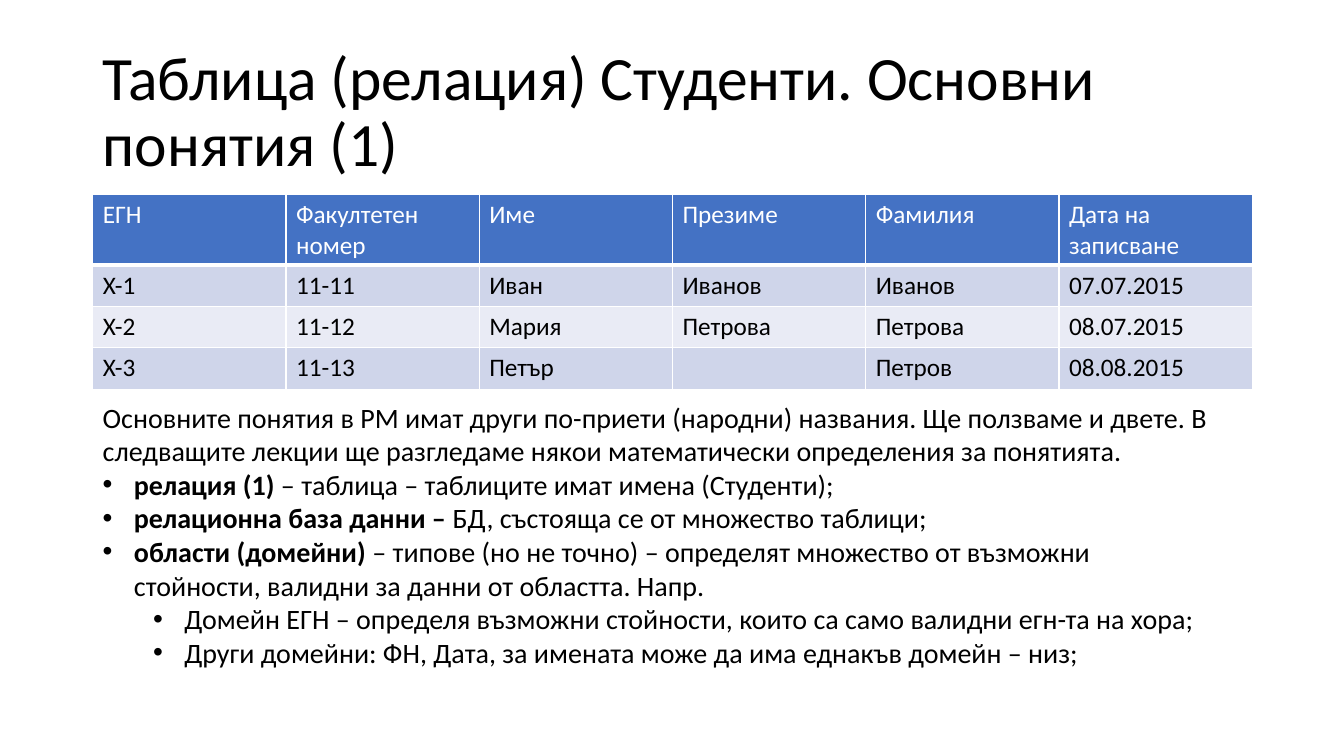
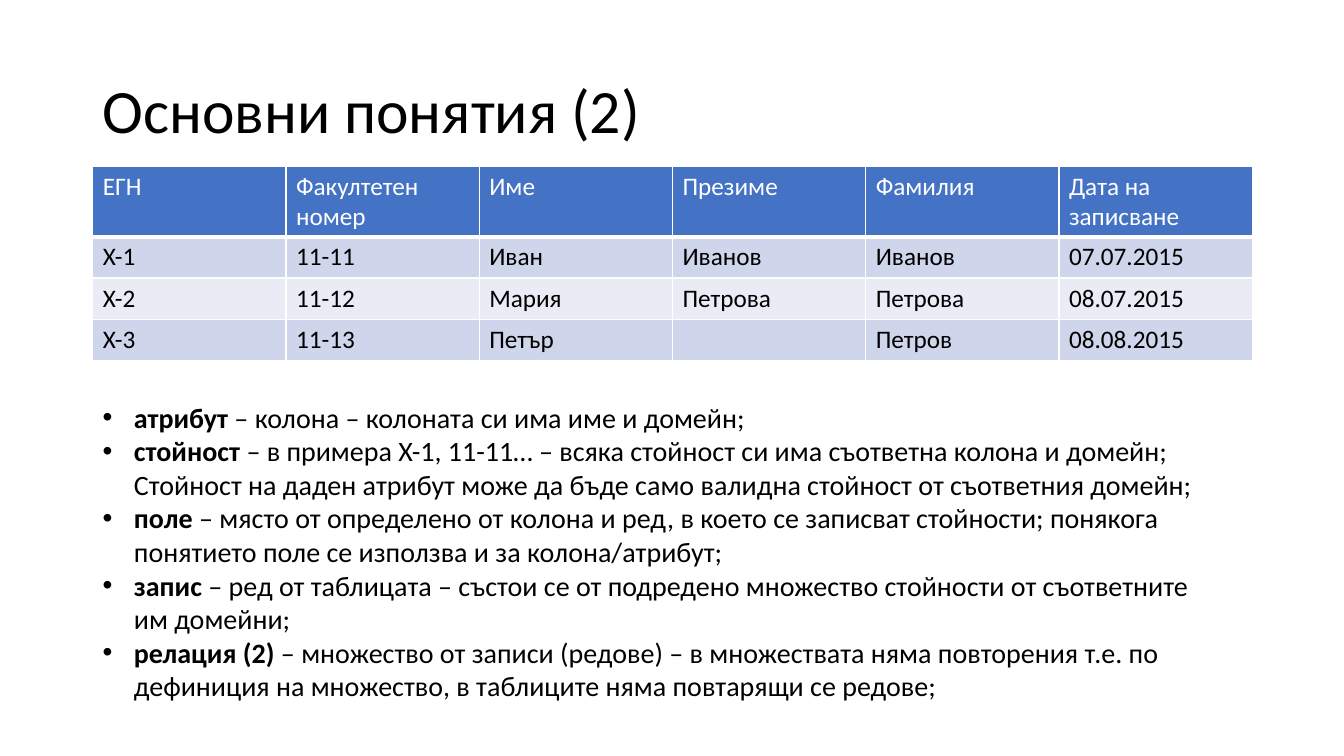
from dataclasses import dataclass

from lxml.etree import SubElement as Sub
from pptx import Presentation
from pptx.dml.color import RGBColor
from pptx.enum.text import MSO_ANCHOR as Anchor, MSO_AUTO_SIZE as Fit
from pptx.oxml.ns import qn
from pptx.slide import Slide
from pptx.util import Inches, Length, Pt

WIDE, HIGH = 13.33, 7.5
LEFT, COL, ROW = 0.92, 11.5 / 6, 0.41

BLACK, WHITE, BLUE = "000000", "FFFFFF", "4472C4"
BANDS = ("CFD5EA", "E9EBF5")

TITLE = {"name": "Calibri", "size": Pt(44), "bold": False}
BODY = {"name": "Calibri", "size": Pt(20), "bold": False}
TERM = BODY | {"bold": True}
CELL = BODY | {"size": Pt(18)}

GRID = (
    ("ЕГН", "Факултетен номер", "Име", "Презиме", "Фамилия", "Дата на записване"),
    ("X-1", "11-11", "Иван", "Иванов", "Иванов", "07.07.2015"),
    ("X-2", "11-12", "Мария", "Петрова", "Петрова", "08.07.2015"),
    ("X-3", "11-13", "Петър", "", "Петров", "08.08.2015"),
)


@dataclass(frozen=True)
class Box:
    """Place below the slide's top and size, in grid columns and rows."""
    top: float
    cols: float
    rows: float

    def area(self) -> tuple[Length, ...]:
        spans = (LEFT, self.top * ROW, self.cols * COL, self.rows * ROW)
        return tuple(Inches(span) for span in spans)


@dataclass(frozen=True)
class Item:
    """One paragraph: bold term, plain text, and level (None has no bullet)."""
    term: str
    text: str
    level: int | None = 0


@dataclass(frozen=True)
class Page:
    title: str
    table: Box
    body: Box
    items: tuple[Item, ...]


HEAD = Box(0.98, 6, 3.54)
PAGES = (
    Page(
        "Таблица (релация) Студенти. Основни понятия (1)",
        Box(4.71, 6, 4.7),
        Box(9.56, 5.9, 6.8),
        (
            Item("", "Основните понятия в РМ имат други по-приети (народни) названия. "
                 "Ще ползваме и двете. В следващите лекции ще разгледаме някои "
                 "математически определения за понятията.", None),
            Item("релация (1)", " – таблица – таблиците имат имена (Студенти);"),
            Item("релационна база данни –", " БД, състояща се от множество таблици;"),
            Item("области (домейни)", " – типове (но не точно) – определят множество "
                 "от възможни стойности, валидни за данни от областта. Напр."),
            Item("", "Домейн ЕГН – определя възможни стойности, които са само "
                 "валидни егн-та на хора;", 1),
            Item("", "Други домейни: ФН, Дата, за имената може да има еднакъв "
                 "домейн – низ;", 1),
        ),
    ),
    Page(
        "Основни понятия (2)",
        Box(4.02, 6, 4.7),
        Box(9.56, 5.9, 7.63),
        (
            Item("атрибут", " – колона – колоната си има име и домейн;"),
            Item("стойност ", "– в примера X-1, 11-11… – всяка стойност си има "
                 "съответна колона и домейн; Стойност на даден атрибут може да "
                 "бъде само валидна стойност от съответния домейн;"),
            Item("поле", " – място от определено от колона и ред, в което се "
                 "записват стойности; понякога понятието поле се използва и за "
                 "колона/атрибут;"),
            Item("запис", " – ред от таблицата – състои се от подредено множество "
                 "стойности от съответните им домейни;"),
            Item("релация (2)", " – множество от записи (редове) – в множествата "
                 "няма повторения т.е. по дефиниция на множество, в таблиците "
                 "няма повтарящи се редове;"),
        ),
    ),
)


def paint(target, tone: str) -> None:
    """Colour a fill or a font from a hex string."""
    if hasattr(target, "solid"):
        target.solid()
        target = target.fore_color
    else:
        target = target.color
    target.rgb = RGBColor.from_string(tone)


def write(para, text: str, style: dict, tone: str = BLACK) -> None:
    run = para.add_run()
    run.text = text
    for key, value in style.items():
        setattr(run.font, key, value)
    paint(run.font, tone)


def indent(para, level: int) -> None:
    para.level = level
    props = para._p.get_or_add_pPr()
    props.set("marL", str(Inches(0.31 + 0.5 * level)))
    props.set("indent", str(Inches(-0.31)))
    Sub(props, qn("a:buFont")).set("typeface", "Arial")
    Sub(props, qn("a:buChar")).set("char", "•")


def edge(cell, lower: int) -> None:
    """Give a cell white borders; the bottom one is lower points wide."""
    props = cell._tc.get_or_add_tcPr()
    for side, width in (("L", 1), ("R", 1), ("T", 1), ("B", lower)):
        line = Sub(props, qn(f"a:ln{side}"), w=str(Pt(width)))
        fill = Sub(line, qn("a:solidFill"))
        Sub(fill, qn("a:srgbClr")).set("val", WHITE)


def add_text(slide: Slide, box: Box):
    frame = slide.shapes.add_textbox(*box.area()).text_frame
    frame.word_wrap = True
    return frame


def add_title(slide: Slide, text: str) -> None:
    frame = add_text(slide, HEAD)
    frame.vertical_anchor = Anchor.MIDDLE
    para = frame.paragraphs[0]
    para.line_spacing = 0.9
    write(para, text, TITLE)


def add_grid(slide: Slide, box: Box) -> None:
    table = slide.shapes.add_table(len(GRID), len(GRID[0]), *box.area()).table
    for r, texts in enumerate(GRID):
        table.rows[r].height = Inches(ROW if r else box.rows * ROW - 3 * ROW)
        for c, text in enumerate(texts):
            cell = table.cell(r, c)
            edge(cell, 1 if r else 3)
            paint(cell.fill, BANDS[(r - 1) % 2] if r else BLUE)
            if text:
                write(cell.text_frame.paragraphs[0], text, CELL, BLACK if r else WHITE)


def add_body(slide: Slide, box: Box, items: tuple[Item, ...]) -> None:
    frame = add_text(slide, box)
    frame.auto_size = Fit.SHAPE_TO_FIT_TEXT
    for n, item in enumerate(items):
        para = frame.add_paragraph() if n else frame.paragraphs[0]
        if item.level is not None:
            indent(para, item.level)
        if item.term:
            write(para, item.term, TERM)
        write(para, item.text, BODY)


def main() -> None:
    deck = Presentation()
    deck.slide_width, deck.slide_height = Inches(WIDE), Inches(HIGH)
    for page in PAGES:
        slide = deck.slides.add_slide(deck.slide_layouts[6])
        add_title(slide, page.title)
        add_grid(slide, page.table)
        add_body(slide, page.body, page.items)
    deck.save("out.pptx")


if __name__ == "__main__":
    main()
